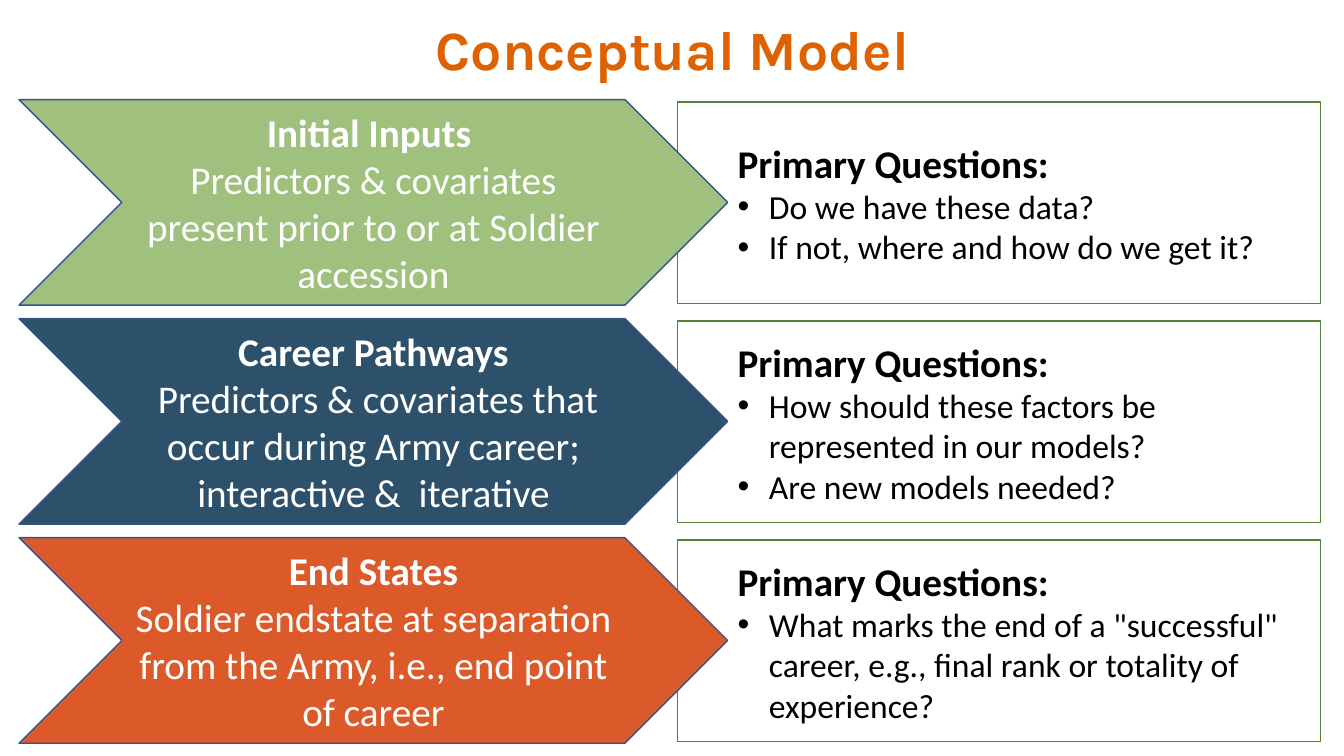
import pptx
import pptx.dml.color
import pptx.enum.shapes
import pptx.enum.text
import pptx.util
from lxml import etree

Cm = pptx.util.Cm
Pt = pptx.util.Pt
SHAPES = pptx.enum.shapes.MSO_SHAPE
ALIGN = pptx.enum.text.PP_ALIGN

TITLE = "Conceptual Model"
QUESTION_HEADING = "Primary Questions:"
STAGES = [
    {
        "name": "Initial Inputs ",
        "summary": "Predictors & covariates present prior to or at Soldier accession",
        "fill": "A0C07D",
        "questions": ["Do we have these data?", "If not, where and how do we get it?"],
    },
    {
        "name": "Career Pathways",
        "summary": " Predictors & covariates that occur during Army career; interactive &  iterative",
        "fill": "2E516B",
        "questions": [
            "How should these factors be represented in our models?",
            "Are new models needed?",
        ],
    },
    {
        "name": "End States",
        "summary": "Soldier endstate at separation from the Army, i.e., end point of career",
        "fill": "DC5A2A",
        "questions": [
            'What marks the end of a "successful" career, e.g., final rank or totality of experience?'
        ],
    },
]
ROW_PITCH = 5.52
PANEL = (17.07, 2.57, 16.21, 5.08)
CHEVRON = (0.48, 2.51, 17.86, 5.18)


def color(value):
    return pptx.dml.color.RGBColor.from_string(value)


def add_text(frame, text, size=28, font="Calibri", fill="000000", bold=False,
             align=ALIGN.LEFT, margin=0, indent=0, bullet=None):
    frame.word_wrap = True
    frame.vertical_anchor = pptx.enum.text.MSO_ANCHOR.MIDDLE
    paragraph = frame.paragraphs[0]
    if paragraph.runs:
        paragraph = frame.add_paragraph()
    paragraph.alignment = align
    properties = paragraph._p.get_or_add_pPr()
    properties.set("marL", str(Cm(margin)))
    properties.set("indent", str(Cm(indent)))
    if bullet:
        namespace = pptx.oxml.ns.qn("a:buFont").split("}")[0] + "}"
        etree.SubElement(properties, namespace + "buFont").set("typeface", "Arial")
        etree.SubElement(properties, namespace + "buChar").set("char", bullet)
    run = paragraph.add_run()
    run.text = text
    run.font.size = Pt(size)
    run.font.name = font
    run.font.bold = bold
    run.font.color.rgb = color(fill)


def add_box(slide, kind, box, row, fill, line):
    left, top, width, height = box
    shape = slide.shapes.add_shape(
        kind, Cm(left), Cm(top + row * ROW_PITCH), Cm(width), Cm(height))
    shape.shadow.inherit = False
    shape.fill.solid()
    shape.fill.fore_color.rgb = color(fill)
    shape.line.color.rgb = color(line)
    shape.line.width = Pt(1)
    return shape.text_frame


def main():
    """Build the conceptual model slide with three stages and their questions."""
    presentation = pptx.Presentation()
    presentation.slide_width = Cm(33.87)
    presentation.slide_height = Cm(19.05)
    slide = presentation.slides.add_slide(presentation.slide_layouts[6])

    title = slide.shapes.add_textbox(Cm(2.34), Cm(0.25), Cm(29.21), Cm(1.96))
    add_text(title.text_frame, TITLE, size=39.6, font="Karla", fill="DE6201",
             bold=True, align=ALIGN.CENTER)

    for row, stage in enumerate(STAGES):
        panel = add_box(slide, SHAPES.RECTANGLE, PANEL, row, "FFFFFF", "548235")
        add_text(panel, QUESTION_HEADING, bold=True, margin=1.27)
        for question in stage["questions"]:
            add_text(panel, question, size=24, margin=2.06, indent=-0.79, bullet="•")

        chevron = add_box(slide, SHAPES.CHEVRON, CHEVRON, row, stage["fill"], "325491")
        add_text(chevron, stage["name"], fill="FFFFFF", bold=True, align=ALIGN.CENTER)
        add_text(chevron, stage["summary"], fill="FFFFFF", align=ALIGN.CENTER)

    presentation.save("out.pptx")


if __name__ == "__main__":
    main()
